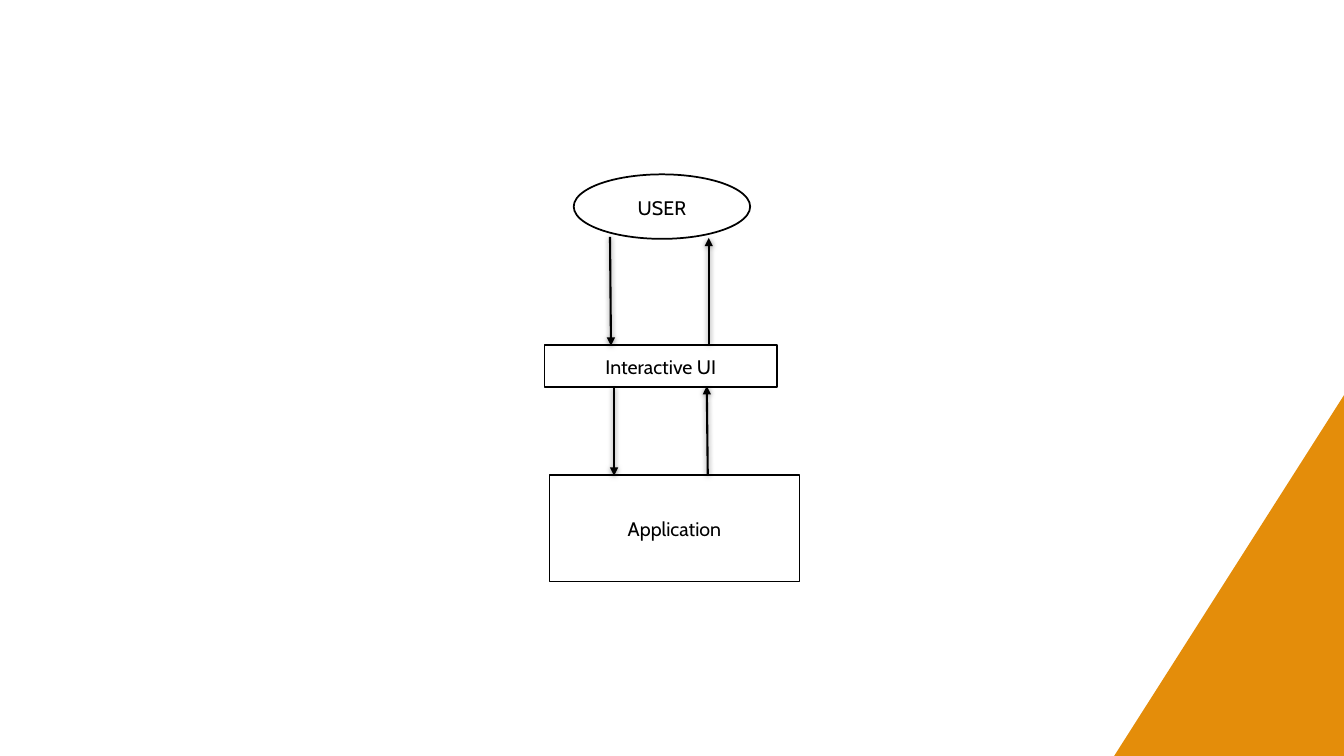
from lxml import etree
from pptx import Presentation
from pptx.dml.color import RGBColor
from pptx.enum.shapes import MSO_CONNECTOR, MSO_SHAPE
from pptx.enum.text import MSO_ANCHOR, PP_ALIGN
from pptx.oxml import parse_xml
from pptx.oxml.ns import qn
from pptx.util import Inches, Pt

OVAL, RECTANGLE = MSO_SHAPE.OVAL, MSO_SHAPE.RECTANGLE
STRAIGHT = MSO_CONNECTOR.STRAIGHT
MIDDLE, CENTER = MSO_ANCHOR.MIDDLE, PP_ALIGN.CENTER
BLACK, WHITE, ORANGE = "000000", "FFFFFF", "E48D0A"
ARROW_SHADOW = (
    '<a:effectLst xmlns:a="http://schemas.openxmlformats.org/drawingml/2006/main">'
    '<a:outerShdw blurRad="50800" dist="12700" dir="5400000" rotWithShape="0">'
    '<a:srgbClr val="000000"><a:alpha val="50000"/></a:srgbClr>'
    '</a:outerShdw></a:effectLst>'
)


def color(hex_value):
    return RGBColor.from_string(hex_value)


prs = Presentation()
prs.slide_width, prs.slide_height = Inches(13.33), Inches(7.5)
slide = prs.slides.add_slide(prs.slide_layouts[6])
shapes = slide.shapes

# Orange corner
outline = shapes.build_freeform(Inches(13.33), Inches(3.92), scale=1.0)
outline.add_line_segments(
    [(Inches(13.33), Inches(7.5)), (Inches(11.05), Inches(7.5))], close=True)
corner = outline.convert_to_shape()
corner.shadow.inherit = False
corner.fill.solid()
corner.fill.fore_color.rgb = color(ORANGE)
corner.line.fill.background()

# Layers from the user down to the application
layers = [
    ("USER", OVAL, 5.69, 1.73, 1.75, 0.64),
    ("Interactive UI", RECTANGLE, 5.4, 3.42, 2.31, 0.42),
    ("Application", RECTANGLE, 5.45, 4.71, 2.48, 1.06),
]
for label, kind, left, top, width, height in layers:
    layer = shapes.add_shape(
        kind, Inches(left), Inches(top), Inches(width), Inches(height))
    layer.shadow.inherit = False
    layer.fill.solid()
    layer.fill.fore_color.rgb = color(WHITE)
    layer.line.color.rgb = color(BLACK)
    layer.line.width = Pt(1.25)
    frame = layer.text_frame
    frame.text = label
    frame.word_wrap = True
    frame.vertical_anchor = MIDDLE
    paragraph = frame.paragraphs[0]
    paragraph.alignment = CENTER
    paragraph.line_spacing = 1.06
    paragraph.space_after = Pt(8)
    font = paragraph.runs[0].font
    font.name, font.size = "Cabin", Pt(14)
    font.color.rgb = color(BLACK)

# Requests go down, responses go up
flows = [
    (6.09, 3.84, 6.09, 4.72),
    (7.02, 4.71, 7.01, 3.83),
    (7.03, 3.41, 7.03, 2.36),
    (6.05, 2.35, 6.06, 3.43),
]
for start_x, start_y, end_x, end_y in flows:
    flow = shapes.add_connector(
        STRAIGHT, Inches(start_x), Inches(start_y), Inches(end_x), Inches(end_y))
    flow.line.color.rgb = color(BLACK)
    flow.line.width = Pt(1.5)
    properties = flow.element.spPr
    etree.SubElement(properties.find(qn("a:ln")), qn("a:tailEnd"), type="triangle")
    properties.append(parse_xml(ARROW_SHADOW))

prs.save("out.pptx")
